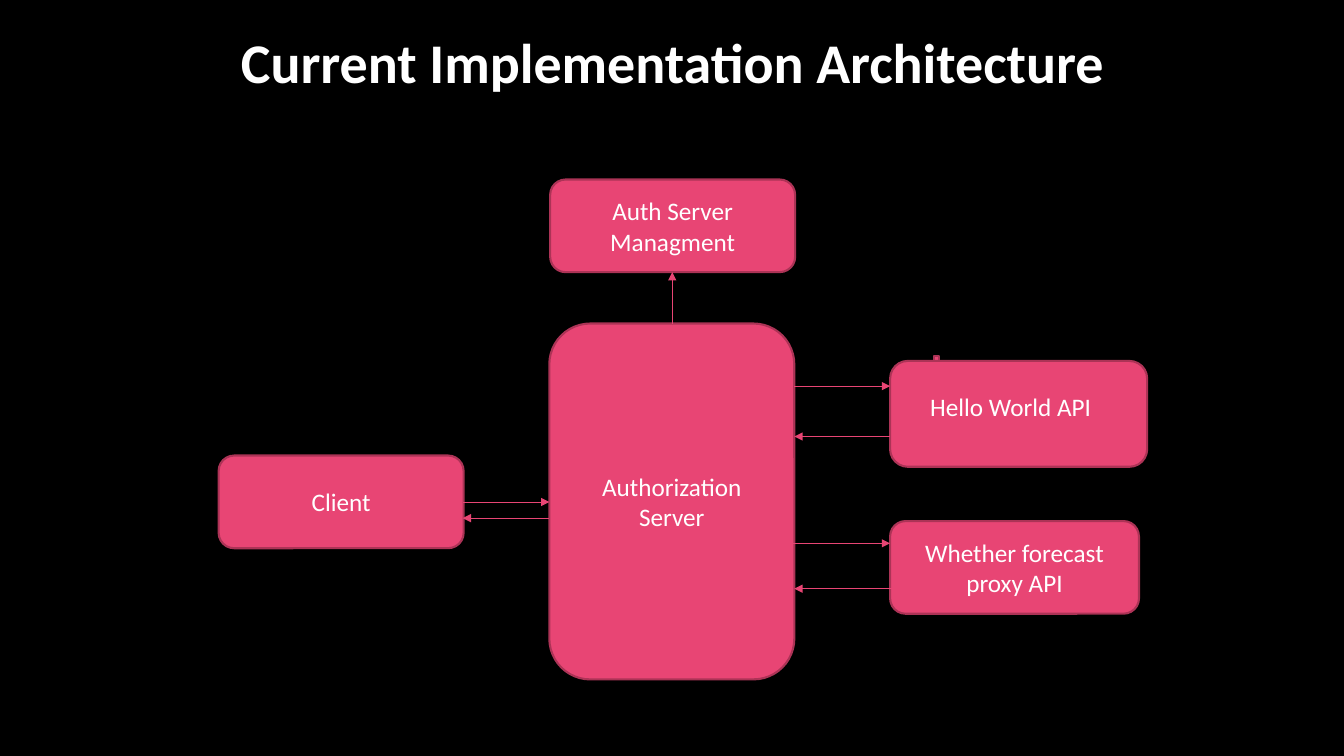
"""Build the current implementation architecture slide."""
from dataclasses import dataclass

from lxml import etree
from pptx import Presentation
from pptx.dml.color import RGBColor
from pptx.enum.shapes import MSO_CONNECTOR, MSO_SHAPE
from pptx.enum.text import MSO_ANCHOR, MSO_AUTO_SIZE, PP_ALIGN
from pptx.oxml.ns import qn
from pptx.slide import Slide
from pptx.text.text import TextFrame
from pptx.util import Pt

ROUNDED = MSO_SHAPE.ROUNDED_RECTANGLE
RECTANGLE = MSO_SHAPE.RECTANGLE
STRAIGHT = MSO_CONNECTOR.STRAIGHT
MIDDLE = MSO_ANCHOR.MIDDLE
TOP = MSO_ANCHOR.TOP
LEFT = PP_ALIGN.LEFT
CENTER = PP_ALIGN.CENTER
NO_AUTOFIT = MSO_AUTO_SIZE.NONE
FONT = "Calibri"
COLORS = {"background": "000000", "pink": "E84574", "border": "AC3356", "text": "FFFFFF"}
TITLE_ONLY = 5


@dataclass(frozen=True)
class Box:
    left: float
    top: float
    width: float
    height: float
    label: str = ""
    preset: MSO_SHAPE = ROUNDED


@dataclass(frozen=True)
class Arrow:
    start_x: float
    start_y: float
    end_x: float
    end_y: float


TITLE = Box(93.6, 15.8, 773.3, 55.4, "Current Implementation Architecture")
HELLO_LABEL = Box(657.4, 275.8, 149, 28.8, "Hello World API")
BOXES = [
    Box(393, 128.2, 175, 66.2, "Auth Server Managment"),
    Box(392.4, 231.1, 175, 254.2, "Authorization Server"),
    Box(635.8, 372.2, 177.8, 66.2, "Whether forecast proxy API"),
    Box(156.2, 325.4, 175, 66.2, "Client"),
    Box(667.4, 254.2, 3.6, 3.6, preset=RECTANGLE),
    Box(635.8, 257.8, 183.6, 75.6),
]
ARROWS = [
    Arrow(330.5, 358.6, 392.4, 358.6),
    Arrow(392.4, 370.1, 330.5, 370.1),
    Arrow(545.8, 388.1, 635.8, 388.1),
    Arrow(657.4, 420.5, 567.4, 420.5),
    Arrow(480.2, 231.1, 480.2, 194.4),
    Arrow(567.4, 275.8, 635.8, 275.8),
    Arrow(635.8, 311.8, 567.4, 311.8),
]


def color(name: str) -> RGBColor:
    """Return a named palette colour."""
    return RGBColor.from_string(COLORS[name])


def write_text(frame: TextFrame, text: str, size: float = 18, bold: bool = False,
               align: PP_ALIGN = CENTER, anchor: MSO_ANCHOR = MIDDLE) -> None:
    """Write one formatted run into a text frame."""
    frame.word_wrap = True
    frame.auto_size = NO_AUTOFIT
    frame.vertical_anchor = anchor
    para = frame.paragraphs[0]
    para.alignment = align
    span = para.add_run()
    span.text = text
    span.font.name = FONT
    span.font.size = Pt(size)
    span.font.bold = bold
    span.font.color.rgb = color("text")


def draw_title(page: Slide) -> None:
    """Place and fill the title placeholder."""
    title = page.shapes.title
    title.left, title.top = Pt(TITLE.left), Pt(TITLE.top)
    title.width, title.height = Pt(TITLE.width), Pt(TITLE.height)
    write_text(title.text_frame, TITLE.label, size=40, bold=True, anchor=TOP)


def draw_box(page: Slide, box: Box) -> None:
    """Draw a filled component with its label."""
    shape = page.shapes.add_shape(
        box.preset, Pt(box.left), Pt(box.top), Pt(box.width), Pt(box.height))
    shape.shadow.inherit = False
    shape.fill.solid()
    shape.fill.fore_color.rgb = color("pink")
    shape.line.color.rgb = color("border")
    shape.line.width = Pt(1.5)
    if box.label:
        write_text(shape.text_frame, box.label)


def draw_label(page: Slide, label: Box) -> None:
    """Draw a left-aligned text box."""
    text_box = page.shapes.add_textbox(
        Pt(label.left), Pt(label.top), Pt(label.width), Pt(label.height))
    write_text(text_box.text_frame, label.label, align=LEFT, anchor=TOP)


def draw_arrow(page: Slide, arrow: Arrow) -> None:
    """Draw a connector ending in a triangle."""
    connector = page.shapes.add_connector(
        STRAIGHT, Pt(arrow.start_x), Pt(arrow.start_y), Pt(arrow.end_x), Pt(arrow.end_y))
    connector.line.color.rgb = color("pink")
    connector.line.width = Pt(0.75)
    properties = connector._element.spPr
    etree.SubElement(properties.find(qn("a:ln")), qn("a:tailEnd"), type="triangle")
    etree.SubElement(properties, qn("a:effectLst"))


def main() -> None:
    """Assemble and save the deck."""
    deck = Presentation()
    deck.slide_width, deck.slide_height = Pt(960), Pt(540)
    page = deck.slides.add_slide(deck.slide_layouts[TITLE_ONLY])
    page.background.fill.solid()
    page.background.fill.fore_color.rgb = color("background")
    draw_title(page)
    for box in BOXES:
        draw_box(page, box)
    draw_label(page, HELLO_LABEL)
    for arrow in ARROWS:
        draw_arrow(page, arrow)
    deck.save("out.pptx")


if __name__ == "__main__":
    main()
